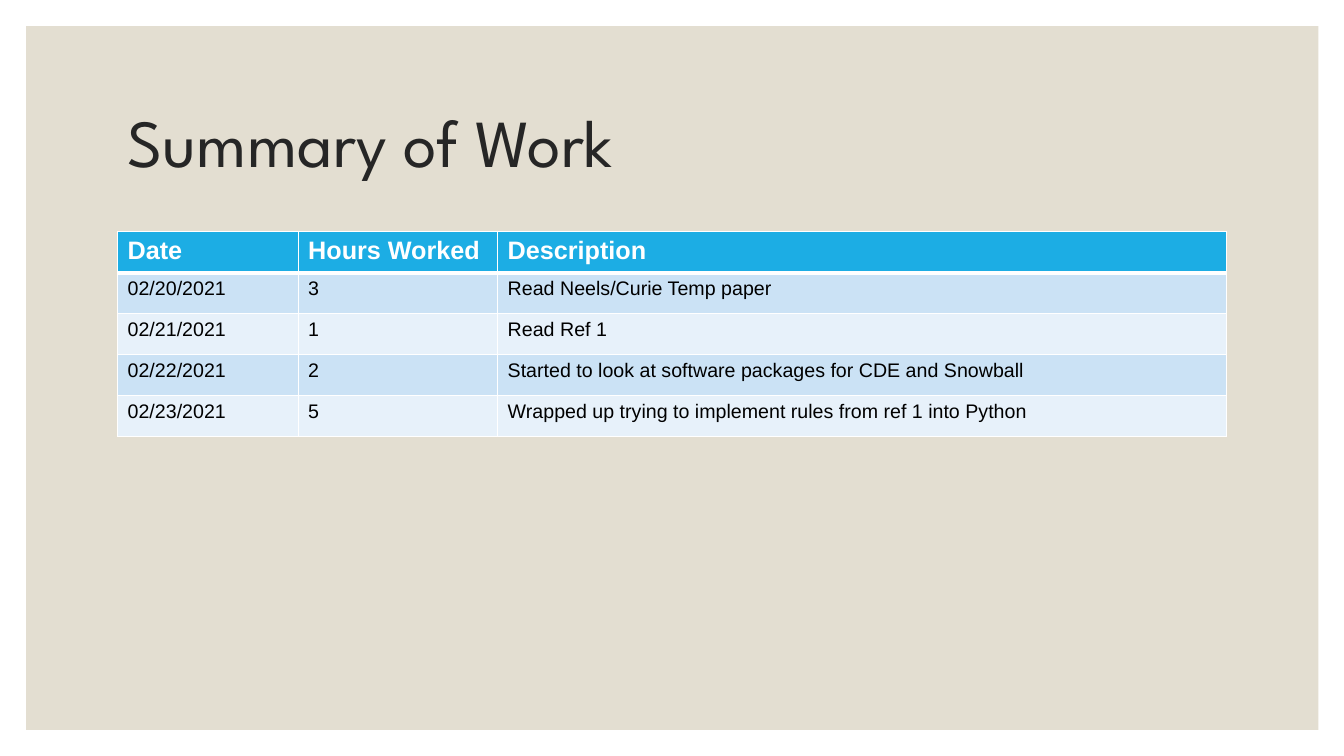
from lxml.etree import SubElement
from pptx import Presentation
from pptx.dml.color import RGBColor
from pptx.enum.shapes import MSO_SHAPE
from pptx.enum.text import MSO_ANCHOR, MSO_AUTO_SIZE, PP_ALIGN
from pptx.oxml.ns import qn
from pptx.util import Pt

COLORS = {
    "panel": "E3DED1",
    "title": "262626",
    "header": "1CADE4",
    "odd_row": "CBE2F5",
    "even_row": "E7F1FA",
    "white": "FFFFFF",
    "text": "000000",
}
TITLE_FONT = "League Spartan"
TABLE_FONT = "Arial"


class SlideBuilder:
    def __init__(self, presentation):
        self.slide = presentation.slides.add_slide(presentation.slide_layouts[5])

    def fill(self, target, color):
        target.fill.solid()
        target.fill.fore_color.rgb = RGBColor.from_string(COLORS[color])

    def format_text(self, paragraph, font, size, color, bold=False):
        paragraph.alignment = PP_ALIGN.LEFT
        for run in paragraph.runs:
            run.font.name = font
            run.font.size = Pt(size)
            run.font.bold = bold
            run.font.color.rgb = RGBColor.from_string(COLORS[color])

    def panel(self, left, top, width, height):
        shape = self.slide.shapes.add_shape(
            MSO_SHAPE.RECTANGLE, Pt(left), Pt(top), Pt(width), Pt(height))
        shape.shadow.inherit = False
        shape.line.fill.background()
        self.fill(shape, "panel")
        self.slide.shapes.title.element.addprevious(shape.element)

    def title(self, text, left, top, width, height):
        title = self.slide.shapes.title
        title.left, title.top = Pt(left), Pt(top)
        title.width, title.height = Pt(width), Pt(height)
        text_frame = title.text_frame
        text_frame.text = text
        text_frame.word_wrap = True
        text_frame.auto_size = MSO_AUTO_SIZE.NONE
        text_frame.vertical_anchor = MSO_ANCHOR.MIDDLE
        paragraph = text_frame.paragraphs[0]
        paragraph.line_spacing = 0.9
        self.format_text(paragraph, TITLE_FONT, 48, "title")

    def borders(self, cell, top, bottom):
        properties = cell._tc.get_or_add_tcPr()
        widths = {"a:lnL": 1, "a:lnR": 1, "a:lnT": top, "a:lnB": bottom}
        for tag, width in widths.items():
            line = SubElement(properties, qn(tag), w=str(Pt(width)))
            solid = SubElement(line, qn("a:solidFill"))
            SubElement(solid, qn("a:srgbClr"), val=COLORS["white"])

    def table(self, rows, left, top, column_widths, row_height):
        table = self.slide.shapes.add_table(
            len(rows), len(column_widths), Pt(left), Pt(top),
            Pt(sum(column_widths)), Pt(row_height * len(rows))).table
        for column, width in zip(table.columns, column_widths):
            column.width = Pt(width)
        for row_index, values in enumerate(rows):
            table.rows[row_index].height = Pt(row_height)
            header = row_index == 0
            band = "odd_row" if row_index % 2 else "even_row"
            for column_index, value in enumerate(values):
                cell = table.cell(row_index, column_index)
                cell.text_frame.text = value
                self.format_text(
                    cell.text_frame.paragraphs[0], TABLE_FONT,
                    18 if header else 14, "white" if header else "text", header)
                self.borders(cell, 3 if row_index == 1 else 1, 3 if header else 1)
                self.fill(cell, "header" if header else band)


presentation = Presentation()
presentation.slide_width, presentation.slide_height = Pt(960), Pt(540)

work_rows = [
    ("Date", "Hours Worked", "Description"),
    ("02/20/2021", "3", "Read Neels/Curie Temp paper"),
    ("02/21/2021", "1", "Read Ref 1"),
    ("02/22/2021", "2", "Started to look at software packages for CDE and Snowball"),
    ("02/23/2021", "5", "Wrapped up trying to implement rules from ref 1 into Python"),
]

builder = SlideBuilder(presentation)
builder.panel(18.7, 18.7, 923, 502.6)
builder.title("Summary of Work", 84, 50.4, 792, 108)
builder.table(work_rows, 84, 165.6, (129, 142.5, 520.5), 29.2)

presentation.save("out.pptx")
